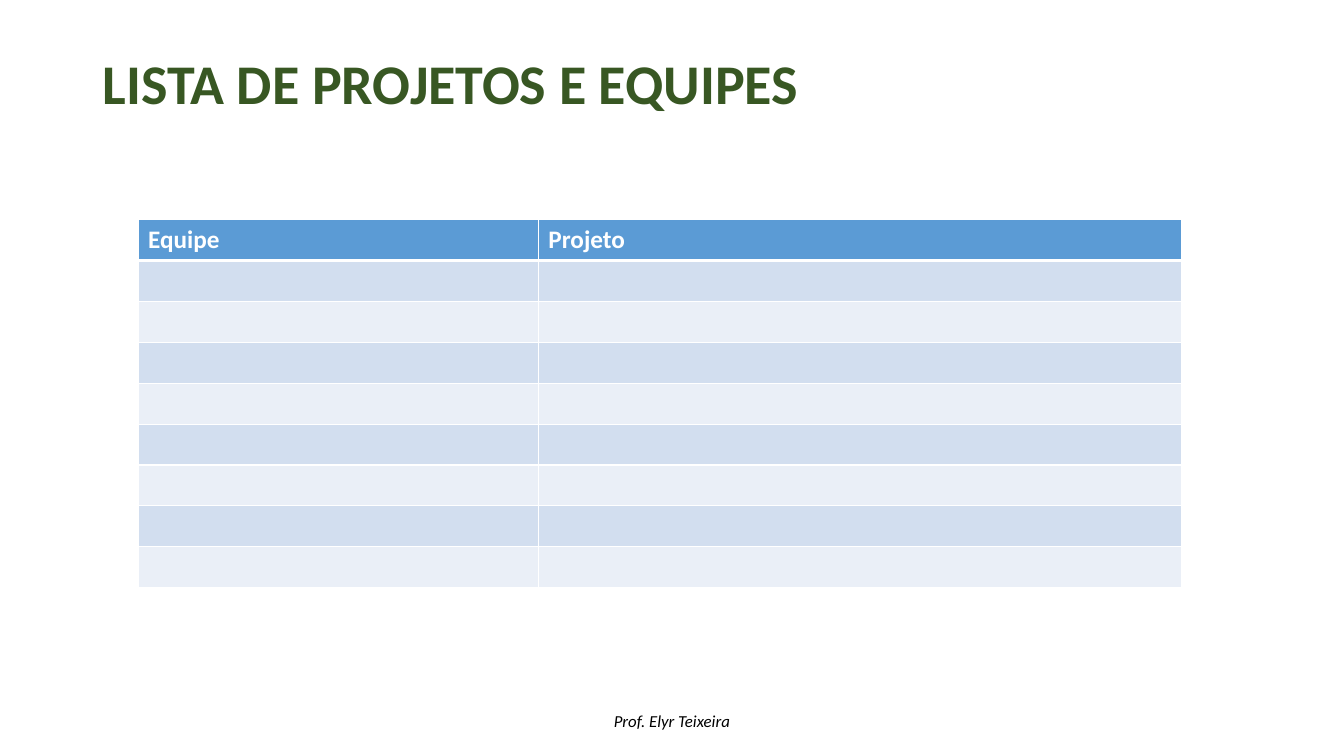
from lxml import etree
from pptx import Presentation
from pptx.dml.color import RGBColor
from pptx.enum.text import MSO_ANCHOR, PP_ALIGN
from pptx.oxml.ns import qn
from pptx.util import Inches, Pt

MIDDLE, TOP = MSO_ANCHOR.MIDDLE, MSO_ANCHOR.TOP
LEFT, CENTER = PP_ALIGN.LEFT, PP_ALIGN.CENTER
FONT = "Calibri"
COLORS = {"title": "385723", "head": "5B9BD5", "odd": "D2DEEF",
          "even": "EAEFF7", "white": "FFFFFF", "black": "000000"}
HEADS = ["Equipe", "Projeto"]
WIDTHS = [3.97, 6.38]
ROWS = 9


def color(name):
    return RGBColor.from_string(COLORS[name])


def style(par, size, tint, bold=False, italic=False):
    for run in par.runs:
        font = run.font
        font.name, font.size = FONT, Pt(size)
        font.bold, font.italic = bold, italic
        font.color.rgb = color(tint)


def add_text(slide, box, text, anchor, align):
    """Add a one-paragraph text box and return its paragraph."""
    frame = slide.shapes.add_textbox(*map(Inches, box)).text_frame
    frame.word_wrap = True
    frame.vertical_anchor = anchor
    frame.text = text
    par = frame.paragraphs[0]
    par.alignment = align
    return par


def add_title(slide, box):
    par = add_text(slide, box, "LISTA DE PROJETOS E EQUIPES", MIDDLE, LEFT)
    par.line_spacing = 0.9
    style(par, 40, "title", bold=True)


def add_footer(slide, box):
    par = add_text(slide, box, "Prof. Elyr Teixeira", TOP, CENTER)
    style(par, 12, "black", italic=True)


def set_edges(cell, top, bottom):
    """Draw white cell borders; top and bottom are widths in points."""
    props = cell._tc.get_or_add_tcPr()
    for side, width in zip("LRTB", (1, 1, top, bottom)):
        line = etree.SubElement(props, qn(f"a:ln{side}"), w=str(Pt(width)))
        fill = etree.SubElement(line, qn("a:solidFill"))
        etree.SubElement(fill, qn("a:srgbClr"), val=COLORS["white"])


def add_list(slide, box):
    shape = slide.shapes.add_table(ROWS, len(HEADS), *map(Inches, box))
    table = shape.table
    for col, width in zip(table.columns, WIDTHS):
        col.width = Inches(width)
    for i, row in enumerate(table.rows):
        row.height = Inches(box[3] / ROWS)
        tint = "head" if i == 0 else "odd" if i % 2 else "even"
        for cell in row.cells:
            set_edges(cell, 3 if i == 1 else 1, 3 if i == 0 else 1)
            cell.fill.solid()
            cell.fill.fore_color.rgb = color(tint)
    for cell, text in zip(table.rows[0].cells, HEADS):
        cell.text_frame.text = text
        style(cell.text_frame.paragraphs[0], 18, "white", bold=True)


def main():
    deck = Presentation()
    deck.slide_width, deck.slide_height = Inches(13.33), Inches(7.5)
    slide = deck.slides.add_slide(deck.slide_layouts[6])
    add_footer(slide, (5.98, 7, 1.37, 0.3))
    add_title(slide, (0.92, 0.23, 11.5, 1.26))
    add_list(slide, (1.37, 2.18, sum(WIDTHS), 3.65))
    deck.save("out.pptx")


if __name__ == "__main__":
    main()
